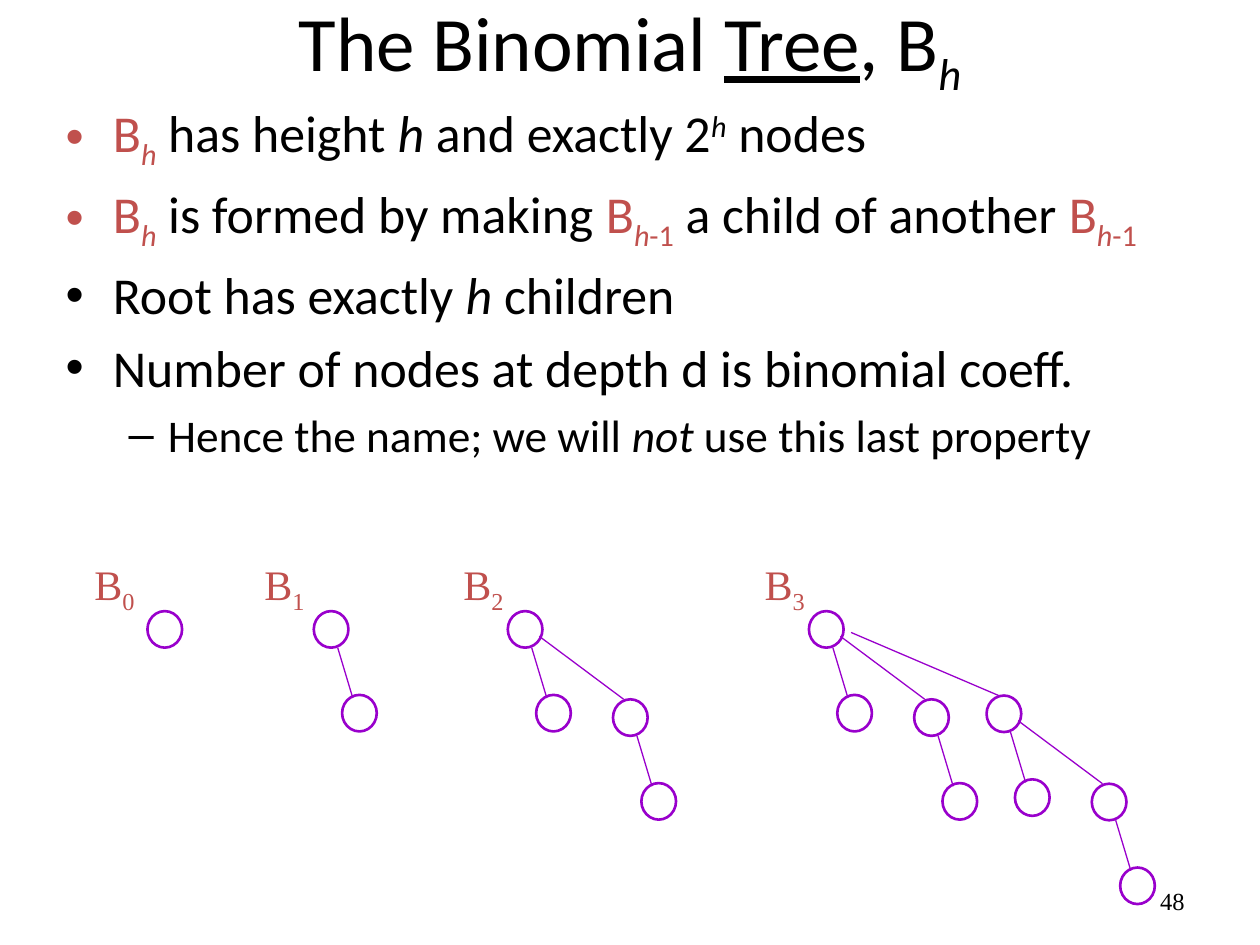
"""Build the slide on binomial trees, drawing each tree by its recursive rule."""
from dataclasses import dataclass

from lxml.etree import SubElement
from pptx import Presentation
from pptx.dml.color import RGBColor
from pptx.enum.shapes import MSO_CONNECTOR as Connector, MSO_SHAPE as Shape
from pptx.enum.text import MSO_ANCHOR as Anchor, MSO_AUTO_SIZE as AutoSize, PP_ALIGN as Align
from pptx.oxml.ns import qn
from pptx.util import Inches, Pt


@dataclass(frozen=True)
class Theme:
    text: RGBColor = RGBColor(0, 0, 0)
    accent: RGBColor = RGBColor(0xC0, 0x50, 0x4D)
    tree: RGBColor = RGBColor(0x99, 0x00, 0xCC)
    paper: RGBColor = RGBColor(0xFF, 0xFF, 0xFF)
    sans: str = "Calibri"
    serif: str = "Times New Roman"
    title: float = 44
    bullet: float = 29.6
    sub_bullet: float = 25.9
    label: float = 24
    number: float = 14
    node_line: float = 1.5
    edge_line: float = 0.75


@dataclass(frozen=True)
class Span:
    text: str
    italic: bool = False
    accent: bool = False
    underline: bool = False
    baseline: int = 0


@dataclass(frozen=True)
class Point:
    column: float
    row: float

    def __add__(self, other: "Point") -> "Point":
        return Point(self.column + other.column, self.row + other.row)


@dataclass(frozen=True)
class Branch:
    child: Point
    start: Point
    end: Point


@dataclass(frozen=True)
class Tree:
    order: int
    root: Point
    label: Point


THEME = Theme()
COLUMNS, ROWS = 100, 75
WIDTH, HEIGHT = Inches(10), Inches(7.5)
NODE = Point(2.75, 2.9)
LABEL = Point(5.3, 5)
BRANCHES = (
    Branch(Point(2.25, 6.65), Point(1.9, 2.9), Point(3.1, 6.9)),
    Branch(Point(8.35, 7), Point(2.5, 2), Point(9.2, 7)),
    Branch(Point(14.1, 6.7), Point(3.35, 1.7), Point(15.05, 6.7)),
)
TREES = (
    Tree(0, Point(11.7, 48.5), Point(6.5, 43.8)),
    Tree(1, Point(24.9, 48.5), Point(20, 43.8)),
    Tree(2, Point(40.3, 48.5), Point(35.8, 43.8)),
    Tree(3, Point(64.2, 48.5), Point(59.7, 43.8)),
)


def italic(text: str) -> Span:
    """Return an italic span."""
    return Span(text, italic=True)


def tree_name(suffix: str = "") -> tuple:
    """Return the accented spans of B with subscript h and an optional suffix."""
    name = (Span("B", accent=True), Span("h", italic=True, accent=True, baseline=-25000))
    return name + ((Span(suffix, accent=True, baseline=-25000),) if suffix else ())


TITLE = (Span("The Binomial "), Span("Tree", underline=True), Span(", B"),
         Span("h", italic=True, baseline=-25000))
BULLETS = (
    (0, (*tree_name(), Span(" has height "), italic("h"), Span(" and exactly 2"),
         Span("h", italic=True, baseline=30000), Span(" nodes"))),
    (0, (*tree_name(), Span(" is formed by making "), *tree_name("-1"),
         Span(" a child of another "), *tree_name("-1"))),
    (0, (Span("Root has exactly "), italic("h"), Span(" children"))),
    (0, (Span("Number of nodes at depth d is binomial coeff."),)),
    (1, (Span("Hence the name; we will "), italic("not"), Span(" use this last property"))),
)


def place(at: Point) -> tuple:
    """Convert a grid point to slide lengths."""
    return round(at.column * WIDTH / COLUMNS), round(at.row * HEIGHT / ROWS)


def move(shape, at: Point, size: Point) -> None:
    """Set the position and size of a shape."""
    shape.left, shape.top = place(at)
    shape.width, shape.height = place(size)


def write(paragraph, spans: tuple, size: float, font_name: str) -> None:
    """Fill a paragraph with formatted spans."""
    paragraph.font.size, paragraph.font.name = Pt(size), font_name
    for span in spans:
        run = paragraph.add_run()
        run.text = span.text
        run.font.color.rgb = THEME.accent if span.accent else THEME.text
        if span.italic:
            run.font.italic = True
        if span.underline:
            run.font.underline = True
        if span.baseline:
            run.font._element.set("baseline", str(span.baseline))


def add_node(shapes, at: Point, filled: bool) -> None:
    """Draw one tree node."""
    node = shapes.add_shape(Shape.OVAL, *place(at), *place(NODE))
    node.shadow.inherit = False
    if filled:
        node.fill.solid()
        node.fill.fore_color.rgb = THEME.paper
    else:
        node.fill.background()
    node.line.color.rgb, node.line.width = THEME.tree, Pt(THEME.node_line)


def add_edge(shapes, start: Point, end: Point) -> None:
    """Draw one straight tree edge."""
    edge = shapes.add_connector(Connector.STRAIGHT, *place(start), *place(end))
    edge.line.color.rgb, edge.line.width = THEME.tree, Pt(THEME.edge_line)
    SubElement(edge._element.spPr, qn("a:effectLst"))


def add_tree(shapes, order: int, root: Point, filled: bool) -> None:
    """Draw a binomial tree whose children are the trees of every lower order."""
    add_node(shapes, root, filled)
    for child_order, branch in enumerate(BRANCHES[:order]):
        add_tree(shapes, child_order, root + branch.child, filled)
        add_edge(shapes, root + branch.start, root + branch.end)


def add_text(shapes, at: Point, size: Point, spans: tuple, points: float):
    """Add a serif text box and return it."""
    box = shapes.add_textbox(*place(at), *place(size))
    write(box.text_frame.paragraphs[0], spans, points, THEME.serif)
    return box


def main() -> None:
    """Build and save the presentation."""
    presentation = Presentation()
    presentation.slide_width, presentation.slide_height = WIDTH, HEIGHT
    slide = presentation.slides.add_slide(presentation.slide_layouts[1])
    title, body = slide.shapes.title, slide.placeholders[1]

    move(title, Point(7.5, -2.5), Point(85, 12.5))
    title.text_frame.auto_size = AutoSize.NONE
    write(title.text_frame.paragraphs[0], TITLE, THEME.title, THEME.sans)

    move(body, Point(4.2, 7.5), Point(88.3, 33.3))
    frame = body.text_frame
    frame.auto_size = AutoSize.NONE
    for index, (level, spans) in enumerate(BULLETS):
        paragraph = frame.add_paragraph() if index else frame.paragraphs[0]
        paragraph.level = level
        write(paragraph, spans, THEME.sub_bullet if level else THEME.bullet, THEME.sans)

    number = add_text(slide.shapes, Point(71.7, 69.5), Point(23.3, 4), (Span("48"),), THEME.number)
    number.text_frame.word_wrap = True
    number.text_frame.vertical_anchor = Anchor.MIDDLE
    number.text_frame.paragraphs[0].alignment = Align.RIGHT

    for tree in TREES:
        shapes = slide.shapes.add_group_shape().shapes if tree.order else slide.shapes
        add_tree(shapes, tree.order, tree.root, filled=tree.order == 3)
        name = (Span("B", accent=True), Span(str(tree.order), accent=True, baseline=-25000))
        label = add_text(slide.shapes, tree.label, LABEL, name, THEME.label)
        label.text_frame.word_wrap = False
        label.text_frame.auto_size = AutoSize.SHAPE_TO_FIT_TEXT

    presentation.save("out.pptx")


if __name__ == "__main__":
    main()
